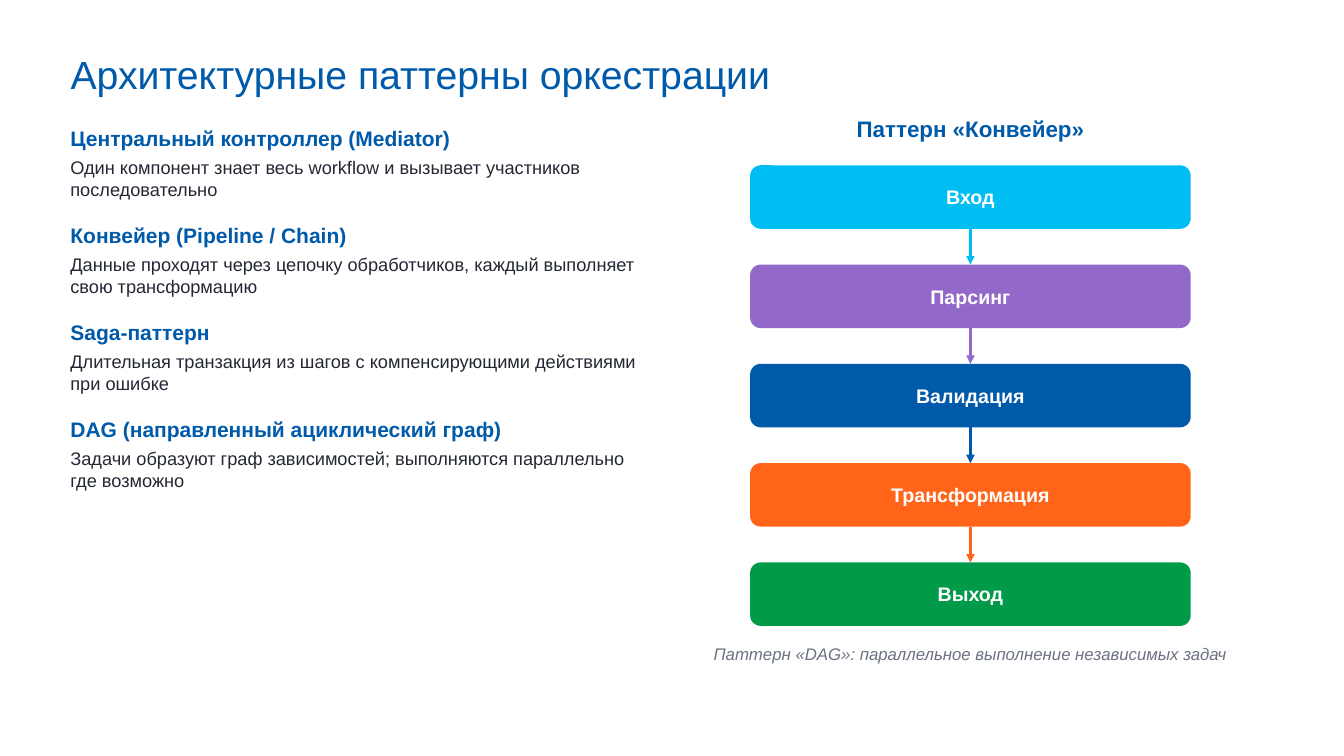
import pptx
import pptx.util
import pptx.dml.color
import pptx.enum.shapes
import pptx.enum.text
import pptx.oxml.ns
from lxml import etree

Inches, Pt = pptx.util.Inches, pptx.util.Pt
RGBColor = pptx.dml.color.RGBColor
Align, Anchor = pptx.enum.text.PP_ALIGN, pptx.enum.text.MSO_ANCHOR
Fit = pptx.enum.text.MSO_AUTO_SIZE
Shape = pptx.enum.shapes.MSO_SHAPE
Line = pptx.enum.shapes.MSO_CONNECTOR
qn = pptx.oxml.ns.qn

BLUE = RGBColor(0x00, 0x5A, 0xAA)
CYAN = RGBColor(0x00, 0xBE, 0xF3)
PURPLE = RGBColor(0x92, 0x69, 0xC9)
ORANGE = RGBColor(0xFF, 0x64, 0x18)
GREEN = RGBColor(0x00, 0x9A, 0x49)
DARK = RGBColor(0x24, 0x28, 0x34)
GRAY = RGBColor(0x6B, 0x72, 0x80)
WHITE = RGBColor(0xFF, 0xFF, 0xFF)

PATTERNS = [
    ("Центральный контроллер (Mediator)",
     "Один компонент знает весь workflow и вызывает участников последовательно"),
    ("Конвейер (Pipeline / Chain)",
     "Данные проходят через цепочку обработчиков, каждый выполняет свою трансформацию"),
    ("Saga-паттерн",
     "Длительная транзакция из шагов с компенсирующими действиями при ошибке"),
    ("DAG (направленный ациклический граф)",
     "Задачи образуют граф зависимостей; выполняются параллельно где возможно"),
]
STAGES = [("Вход", CYAN), ("Парсинг", PURPLE), ("Валидация", BLUE),
          ("Трансформация", ORANGE), ("Выход", GREEN)]


class Deck:
    font = "Arial"

    def __init__(self):
        self.file = pptx.Presentation()
        self.file.slide_width = Inches(13.33)
        self.file.slide_height = Inches(7.5)
        self.slide = self.file.slides.add_slide(self.file.slide_layouts[5])

    def add_text(self, para, text, size, color, bold=False, italic=False):
        run = para.add_run()
        run.text = text
        font = run.font
        font.name, font.size = self.font, Pt(size)
        font.bold, font.italic = bold, italic
        font.color.rgb = color

    def setup(self, frame):
        frame.word_wrap = True
        frame.auto_size = Fit.SHAPE_TO_FIT_TEXT
        frame.vertical_anchor = Anchor.TOP
        return frame

    def title(self, text, left, top, width, height):
        box = self.slide.shapes.title
        box.left, box.top = Inches(left), Inches(top)
        box.width, box.height = Inches(width), Inches(height)
        para = self.setup(box.text_frame).paragraphs[0]
        para.alignment = Align.LEFT
        self.add_text(para, text, 28, BLUE)

    def frame(self, left, top, width, height):
        """Add a text box and return its text frame."""
        box = self.slide.shapes.add_textbox(
            Inches(left), Inches(top), Inches(width), Inches(height))
        return self.setup(box.text_frame)

    def label(self, text, left, top, width, height, size, color, **style):
        para = self.frame(left, top, width, height).paragraphs[0]
        para.alignment = Align.CENTER
        self.add_text(para, text, size, color, **style)

    def topics(self, items, left, top, width, height):
        """Add headings, each with its description below."""
        frame = self.frame(left, top, width, height)
        for i, (head, body) in enumerate(items):
            para = frame.add_paragraph() if i else frame.paragraphs[0]
            if i:
                para.space_before = Pt(16)
            self.add_text(para, head, 15, BLUE, bold=True)
            para = frame.add_paragraph()
            para.space_before = Pt(4)
            self.add_text(para, body, 13, DARK)

    def block(self, text, color, left, top, width, height):
        box = self.slide.shapes.add_shape(
            Shape.ROUNDED_RECTANGLE,
            Inches(left), Inches(top), Inches(width), Inches(height))
        box.shadow.inherit = False
        box.fill.solid()
        box.fill.fore_color.rgb = color
        box.line.fill.background()
        frame = box.text_frame
        frame.word_wrap = True
        frame.vertical_anchor = Anchor.MIDDLE
        frame.margin_left = frame.margin_right = Inches(0.14)
        frame.margin_top = frame.margin_bottom = Inches(0.08)
        para = frame.paragraphs[0]
        para.alignment = Align.CENTER
        self.add_text(para, text, 14, WHITE, bold=True)

    def arrow(self, color, x, start, end):
        line = self.slide.shapes.add_connector(
            Line.STRAIGHT, Inches(x), Inches(start), Inches(x), Inches(end))
        line.line.color.rgb = color
        line.line.width = Pt(2)
        props = line._element.spPr
        etree.SubElement(props.find(qn("a:ln")), qn("a:tailEnd"), type="triangle")
        etree.SubElement(props, qn("a:effectLst"))


def main():
    deck = Deck()
    deck.title("Архитектурные паттерны оркестрации", 0.6, 0.45, 10.51, 0.44)
    deck.topics(PATTERNS, 0.6, 1.2, 5.91, 5.69)
    deck.label("Паттерн «Конвейер»", 6.89, 1.09, 5.47, 0.44, 16, BLUE, bold=True)

    left, first, width, height = 7.44, 1.64, 4.37, 0.63
    step = (5.58 - first) / (len(STAGES) - 1)
    for i, (name, color) in enumerate(STAGES):
        top = first + i * step
        deck.block(name, color, left, top, width, height)
        if i < len(STAGES) - 1:
            deck.arrow(color, left + width / 2, top + height, top + step)

    deck.label("Паттерн «DAG»: параллельное выполнение независимых задач",
               6.89, 6.34, 5.47, 0.38, 12, GRAY, italic=True)
    deck.file.save("out.pptx")


if __name__ == "__main__":
    main()
